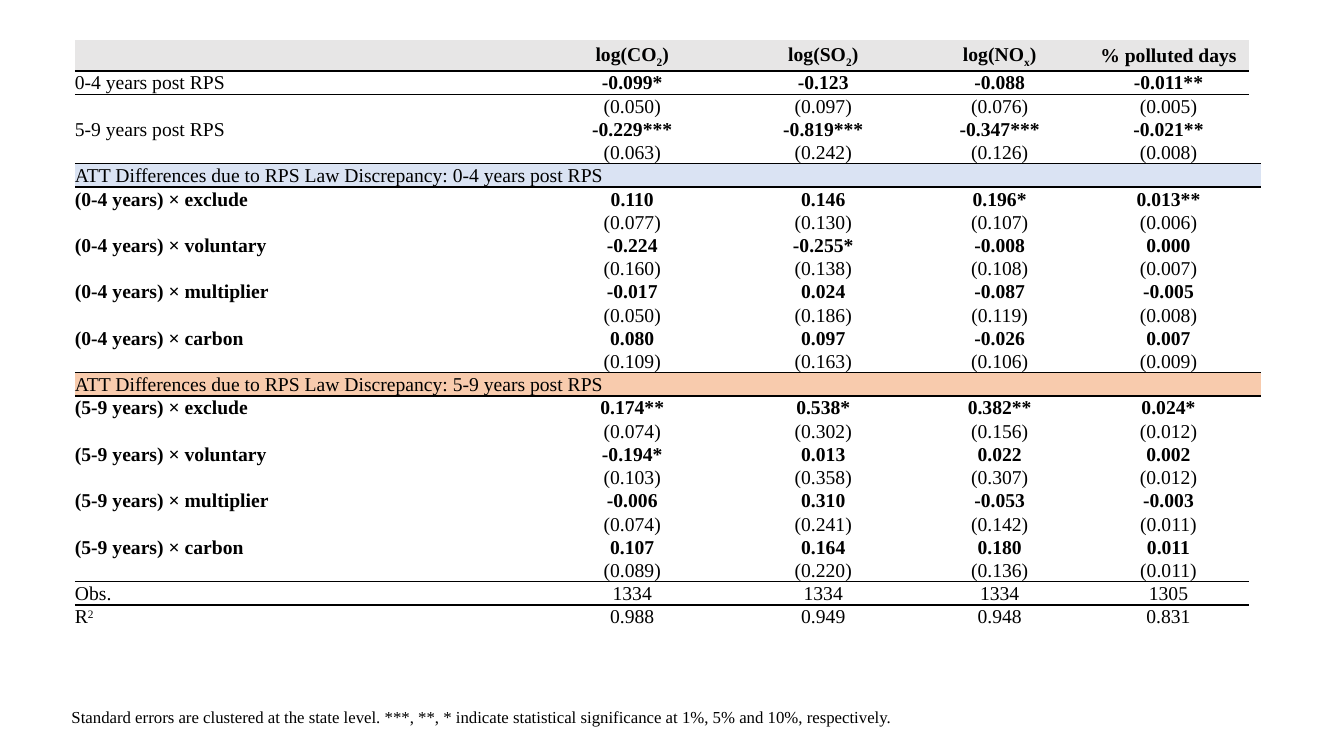
from lxml import etree
from pptx import Presentation
from pptx.dml.color import RGBColor
from pptx.enum.text import MSO_ANCHOR, PP_ALIGN
from pptx.oxml.ns import qn
from pptx.util import Pt

FONT = "Times New Roman"
BLACK = RGBColor(0x00, 0x00, 0x00)
GREY = RGBColor(0xE7, 0xE6, 0xE6)
BLUE = RGBColor(0xDA, 0xE3, 0xF3)
ORANGE = RGBColor(0xF8, 0xCB, 0xAD)
NO_STYLE = "{2D5ABB26-0587-4C30-8999-92F81FD0307C}"

COLUMN_WIDTHS = [324.7, 146.9, 126, 126, 115.2, 8.6]
HEADER_HEIGHT, ROW_HEIGHT = 22.3, 16.57
BASELINES = {"_": "-25000", "^": "30000"}
SECTION = "ATT Differences due to RPS Law Discrepancy: "

# "|" separates runs; a leading "_" or "^" lowers or raises a run.
HEADER = ["", "log(CO|_2|)", "log(SO|_2|)", "log(NO|_x|)", "% polluted days"]
OVERALL = [
    ("0-4 years post RPS", "-0.099* -0.123 -0.088 -0.011**", "0.050 0.097 0.076 0.005"),
    ("5-9 years post RPS", "-0.229*** -0.819*** -0.347*** -0.021**", "0.063 0.242 0.126 0.008"),
]
EARLY = [
    ("(0-4 years) × exclude", "0.110 0.146 0.196* 0.013**", "0.077 0.130 0.107 0.006"),
    ("(0-4 years) × voluntary", "-0.224 -0.255* -0.008 0.000", "0.160 0.138 0.108 0.007"),
    ("(0-4 years) × multiplier", "-0.017 0.024 -0.087 -0.005", "0.050 0.186 0.119 0.008"),
    ("(0-4 years) × carbon", "0.080 0.097 -0.026 0.007", "0.109 0.163 0.106 0.009"),
]
LATE = [
    ("(5-9 years) × exclude", "0.174** 0.538* 0.382** 0.024*", "0.074 0.302 0.156 0.012"),
    ("(5-9 years) × voluntary", "-0.194* 0.013 0.022 0.002", "0.103 0.358 0.307 0.012"),
    ("(5-9 years) × multiplier", "-0.006 0.310 -0.053 -0.003", "0.074 0.241 0.142 0.011"),
    ("(5-9 years) × carbon", "0.107 0.164 0.180 0.011", "0.089 0.220 0.136 0.011"),
]
SUMMARY = [
    ["Obs.", "1334", "1334", "1334", "1305"],
    ["R|^2", "0.988", "0.949", "0.948", "0.831"],
]
NOTE = ("Standard errors are clustered at the state level. ***, **, * indicate "
        "statistical significance at 1%, 5% and 10%, respectively.")


def estimate_rows(estimates):
    """Put each line of estimates above its standard errors in brackets."""
    rows = []
    for label, values, errors in estimates:
        rows.append([label] + values.split())
        rows.append([""] + [f"({error})" for error in errors.split()])
    return rows


def format_run(run, size, bold=False):
    run.font.name = FONT
    run.font.size = Pt(size)
    run.font.bold = bold
    run.font.color.rgb = BLACK


def fill_cell(cell, text="", bold=False, centred=False, color=None):
    cell.margin_left = cell.margin_right = cell.margin_top = cell.margin_bottom = 0
    cell.vertical_anchor = MSO_ANCHOR.MIDDLE
    if color is None:
        cell.fill.background()
    else:
        cell.fill.solid()
        cell.fill.fore_color.rgb = color
    paragraph = cell.text_frame.paragraphs[0]
    paragraph.alignment = PP_ALIGN.CENTER if centred else PP_ALIGN.LEFT
    if not text:
        # Keeps an empty cell from stretching its row
        etree.SubElement(paragraph._p, qn("a:endParaRPr"), sz="1000")
        return
    paragraph.line_spacing = 1.07
    for part in text.split("|"):
        run = paragraph.add_run()
        run.text = part.lstrip("_^")
        format_run(run, 14, bold)
        if part[0] in BASELINES:
            run.font._element.set("baseline", BASELINES[part[0]])


def rule_below(table, row, columns):
    for column in range(columns):
        properties = table.cell(row, column)._tc.get_or_add_tcPr()
        line = etree.Element(qn("a:lnB"), w=str(Pt(1)))
        fill = etree.SubElement(line, qn("a:solidFill"))
        etree.SubElement(fill, qn("a:srgbClr"), val=str(BLACK))
        properties.insert(0, line)


def add_values(table, row, values):
    is_header = row == 0
    is_summary = values in SUMMARY
    for column, text in enumerate(values):
        if column == 0:
            bold = "×" in text
        else:
            bold = not is_summary and not text.startswith("(")
        fill_cell(table.cell(row, column), text, bold, column > 0,
                  GREY if is_header else None)
    fill_cell(table.cell(row, len(values)))


def add_section(table, row, text, color):
    last = len(COLUMN_WIDTHS) - 1
    table.cell(row, 0).merge(table.cell(row, last))
    fill_cell(table.cell(row, 0), text, color=color)
    rule_below(table, row - 1, last + 1)
    rule_below(table, row, last + 1)


def add_results_table(slide):
    sections = {SECTION + "0-4 years post RPS": BLUE,
                SECTION + "5-9 years post RPS": ORANGE}
    early_title, late_title = sections
    rows = [HEADER, *estimate_rows(OVERALL), early_title, *estimate_rows(EARLY),
            late_title, *estimate_rows(LATE), *SUMMARY]
    heights = [HEADER_HEIGHT] + [ROW_HEIGHT] * (len(rows) - 1)
    frame = slide.shapes.add_table(len(rows), len(COLUMN_WIDTHS), Pt(53.5), Pt(28.4),
                                   Pt(sum(COLUMN_WIDTHS)), Pt(sum(heights)))
    table = frame.table
    table.first_row = table.horz_banding = False
    table._tbl.tblPr.find(qn("a:tableStyleId")).text = NO_STYLE
    for column, width in zip(table.columns, COLUMN_WIDTHS):
        column.width = Pt(width)
    for index, (values, height) in enumerate(zip(rows, heights)):
        table.rows[index].height = Pt(height)
        if values in (early_title, late_title):
            add_section(table, index, values, sections[values])
        else:
            add_values(table, index, values)
    obs_row = rows.index(SUMMARY[0])
    for row in (0, 1, obs_row - 1, obs_row):
        rule_below(table, row, len(HEADER))


def add_note(slide):
    text_frame = slide.shapes.add_textbox(Pt(44), Pt(501), Pt(839), Pt(21.8)).text_frame
    text_frame.word_wrap = True
    text_frame.text = NOTE
    format_run(text_frame.paragraphs[0].runs[0], 12)


def main():
    presentation = Presentation()
    presentation.slide_width, presentation.slide_height = Pt(960), Pt(540)
    slide = presentation.slides.add_slide(presentation.slide_layouts[6])
    add_results_table(slide)
    add_note(slide)
    presentation.save("out.pptx")


if __name__ == "__main__":
    main()
